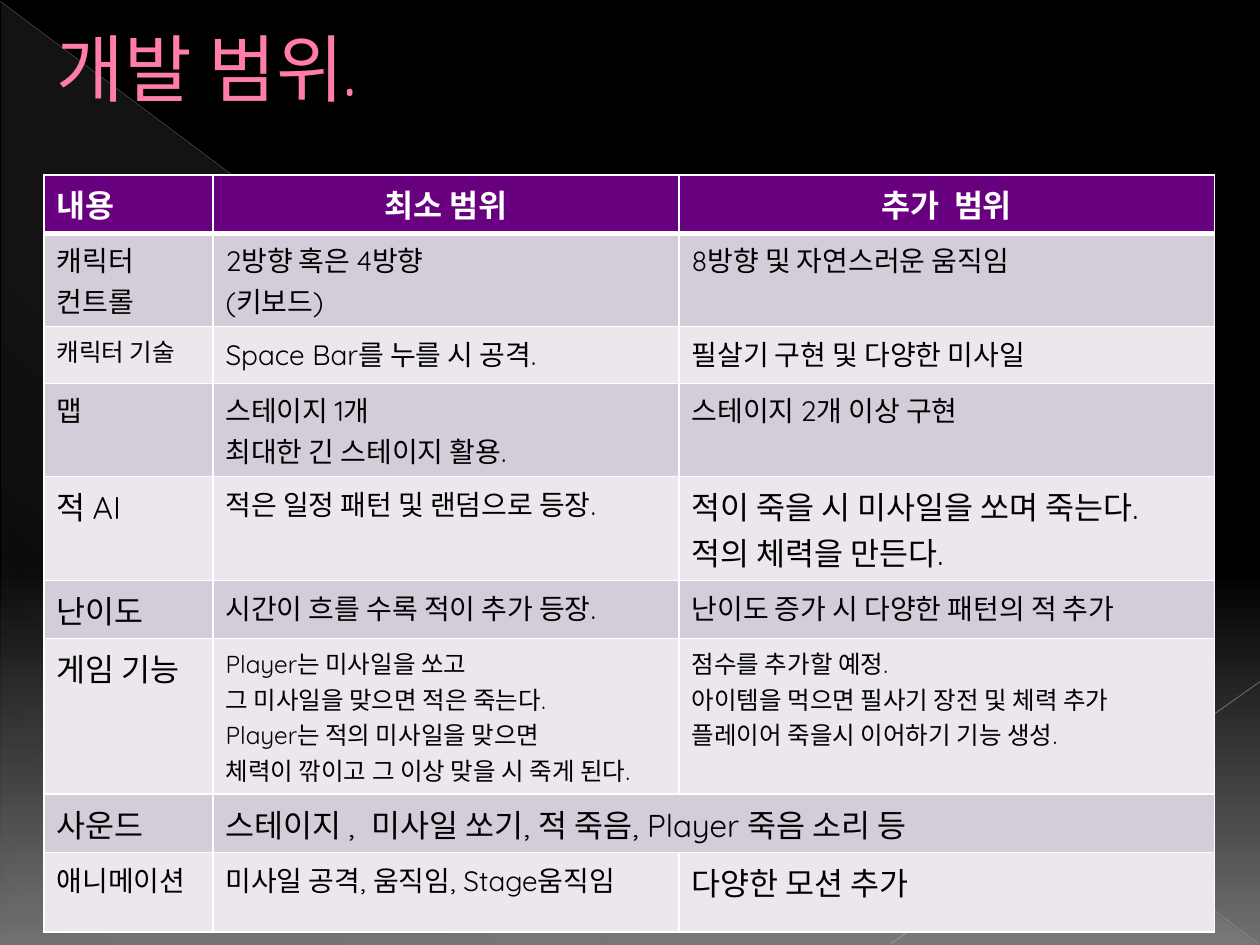
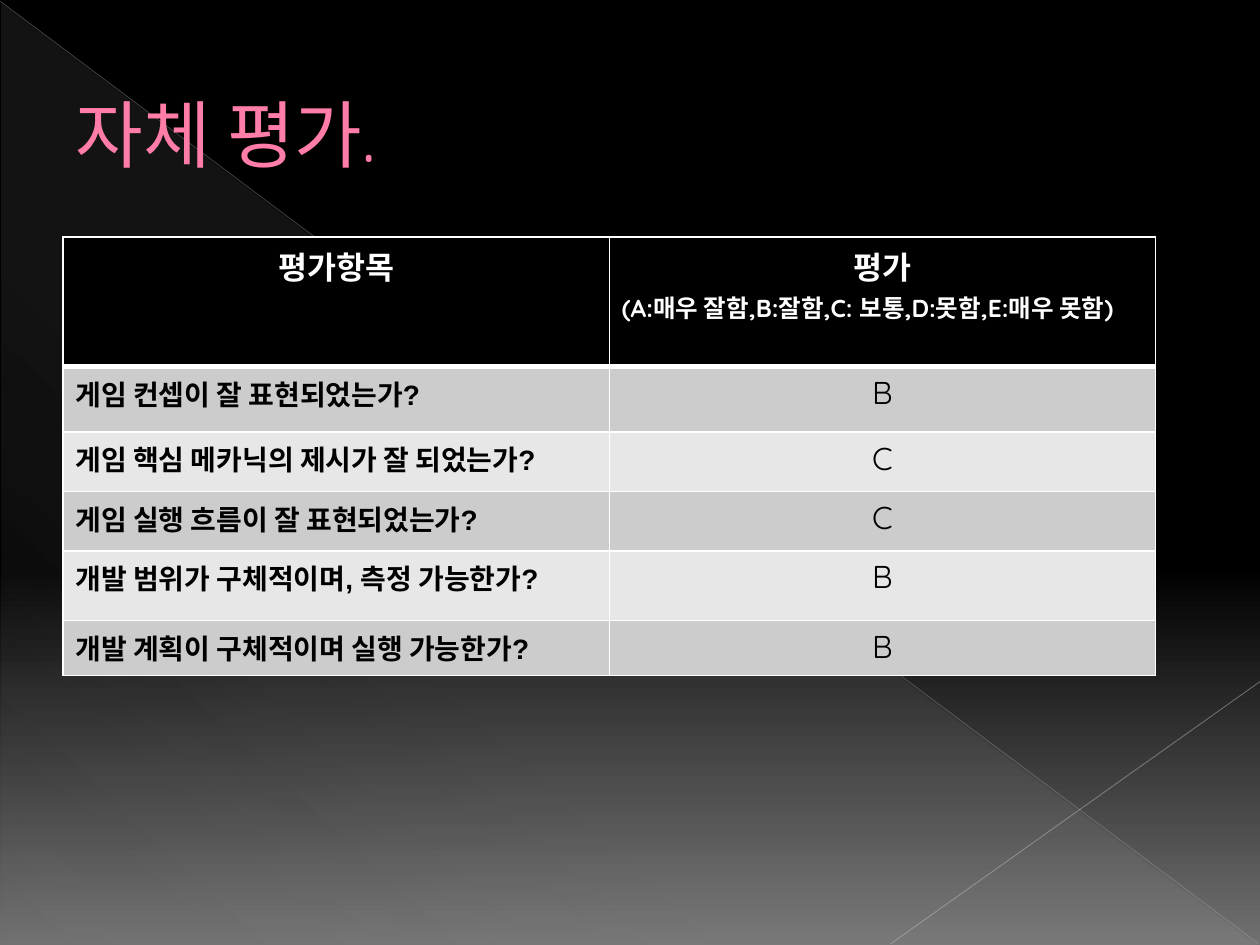
import pptx
import pptx.chart.data
import pptx.dml.color
import pptx.enum.shapes
import pptx.enum.text
import pptx.oxml
import pptx.oxml.ns
import pptx.util

Pt = pptx.util.Pt
RGB = pptx.dml.color.RGBColor
qn = pptx.oxml.ns.qn
Align = pptx.enum.text.PP_ALIGN
NS = pptx.oxml.ns.nsdecls("a")

BLACK = RGB(0, 0, 0)
WHITE = RGB(255, 255, 255)
GREY = RGB(0x70, 0x70, 0x70)
HAZE = RGB(0xD2, 0xD2, 0xD2)
FALLING = RGB(0xBF, 0xBF, 0xBF)
RISING = RGB(0xC6, 0xC6, 0xC6)
PINK = RGB(0xFF, 0x7D, 0xA7)
PINK_EDGE = RGB(0xB1, 0x27, 0x61)
PURPLE = RGB(0x68, 0, 0x7F)
LILAC = (RGB(0xD4, 0xCC, 0xD8), RGB(0xEB, 0xE7, 0xEC))
SILVER = (RGB(0xCC, 0xCC, 0xCC), RGB(0xE7, 0xE7, 0xE7))
FONT = "Quicksand"


def put_text(tf, text, size=16, color=BLACK, bold=False, font=FONT,
             align=Align.LEFT, append=False):
    """Write one paragraph per line of text and return the last run."""
    for i, line in enumerate(text.split("\n")):
        p = tf.add_paragraph() if i or append else tf.paragraphs[0]
        p.alignment = align
        r = p.add_run()
        r.text = line
        r.font.size = Pt(size)
        r.font.name = font
        r.font.bold = bold
        r.font.color.rgb = color
    return r


def color_xml(color, opacity=100):
    return f'<a:srgbClr val="{color}"><a:alpha val="{opacity * 1000}"/></a:srgbClr>'


def line_xml(tag, color, width):
    return pptx.oxml.parse_xml(
        f'<a:{tag} {NS} w="{Pt(width)}"><a:solidFill>{color_xml(color)}'
        f'</a:solidFill></a:{tag}>')


def set_gradient(fill, element, stops, angle):
    """Give (position, colour, opacity) stops along a clockwise angle."""
    fill.gradient()
    fill.gradient_angle = 360 - angle
    old = next(element.iter(qn("a:gsLst")))
    gs = "".join(f'<a:gs pos="{pos * 1000}">{color_xml(color, opacity)}</a:gs>'
                 for pos, color, opacity in stops)
    old.getparent().replace(old, pptx.oxml.parse_xml(f"<a:gsLst {NS}>{gs}</a:gsLst>"))


class Deck:
    def __init__(self):
        self.prs = pptx.Presentation()
        self.prs.slide_width, self.prs.slide_height = Pt(720), Pt(540)
        self.s = None

    def add_slide(self, title, left, top, height):
        self.s = self.prs.slides.add_slide(self.prs.slide_layouts[5])
        sp = self.s.shapes.title
        sp.left, sp.top, sp.width, sp.height = Pt(left), Pt(top), Pt(648), Pt(height)
        tf = sp.text_frame
        tf.auto_size = pptx.enum.text.MSO_AUTO_SIZE.NONE
        tf.vertical_anchor = pptx.enum.text.MSO_ANCHOR.MIDDLE
        r = put_text(tf, title, size=42, color=PINK)
        r.font._element.insert(0, line_xml("ln", PINK_EDGE, 0.5))

    def triangle(self, left, top, width, height):
        sp = self.s.shapes.add_shape(pptx.enum.shapes.MSO_SHAPE.RIGHT_TRIANGLE,
                                     Pt(left), Pt(top), Pt(width), Pt(height))
        sp.shadow.inherit = False
        sp.line.fill.background()
        set_gradient(sp.fill, sp._element,
                     [(0, HAZE, 10), (70, HAZE, 8), (100, HAZE, 1)], 133)
        return sp

    def line(self, x1, y1, x2, y2, color, width, opacity):
        c = self.s.shapes.add_connector(pptx.enum.shapes.MSO_CONNECTOR.STRAIGHT,
                                        Pt(x1), Pt(y1), Pt(x2), Pt(y2))
        c.line.width = Pt(width)
        c.line.color.rgb = color
        alpha = pptx.oxml.parse_xml(f'<a:alpha {NS} val="{opacity * 1000}"/>')
        next(c._element.iter(qn("a:srgbClr"))).append(alpha)
        c._element.spPr.append(pptx.oxml.parse_xml(f"<a:effectLst {NS}/>"))
        return c

    def decorate_master(self):
        """Draw the shared backdrop and move it behind the master's placeholders."""
        master = self.prs.slide_master
        set_gradient(master.background.fill, master._element.cSld.bg,
                     [(0, BLACK, 100), (60, BLACK, 100), (100, GREY, 100)], 90)
        backdrop = [
            self.triangle(0.7, 1.4, 718.6, 538.6),
            self.line(0, 0.7, 719.3, 539.3, FALLING, 0.39, 35),
            self.line(720, 389.5, 509, 539.3, RISING, 0.47, 45),
        ]
        for i, sp in enumerate(backdrop, 2):
            master.shapes._spTree.insert(i, sp._element)

    def table(self, left, top, widths, heights, header_fill, bands):
        """Add an empty table with a filled header, bands and white borders."""
        tbl = self.s.shapes.add_table(len(heights), len(widths), Pt(left), Pt(top),
                                      Pt(sum(widths)), Pt(sum(heights))).table
        for col, width in zip(tbl.columns, widths):
            col.width = Pt(width)
        for i, (row, height) in enumerate(zip(tbl.rows, heights)):
            row.height = Pt(height)
            edges = {"lnL": 1, "lnR": 1, "lnT": 3 if i == 1 else 1,
                     "lnB": 3 if i == 0 else 1}
            for cell in row.cells:
                cell.fill.solid()
                cell.fill.fore_color.rgb = bands[(i - 1) % 2] if i else header_fill
                tcPr = cell._tc.get_or_add_tcPr()
                for k, (tag, width) in enumerate(edges.items()):
                    tcPr.insert(k, line_xml(tag, WHITE, width))
        return tbl


SCOPE_HEADER = ["내용", "최소 범위", "추가  범위"]
# Each row: texts, then their font sizes
SCOPE = [
    (["캐릭터\n컨트롤", "2방향 혹은 4방향\n(키보드)", "8방향 및 자연스러운 움직임"],
     [16, 16, 16]),
    (["캐릭터 기술", "Space Bar를 누를 시 공격.", "필살기 구현 및 다양한 미사일"],
     [14, 16, 16]),
    (["맵", "스테이지 1개\n최대한 긴 스테이지 활용.", "스테이지 2개 이상 구현"],
     [16, 16, 16]),
    (["적 AI", "적은 일정 패턴 및 랜덤으로 등장.",
      "적이 죽을 시 미사일을 쏘며 죽는다.\n적의 체력을 만든다."], [18, 16, 18]),
    (["난이도", "시간이 흐를 수록 적이 추가 등장.", "난이도 증가 시 다양한 패턴의 적 추가"],
     [18, 16, 16]),
    (["게임 기능",
      "Player는 미사일을 쏘고\n그 미사일을 맞으면 적은 죽는다.\n"
      "Player는 적의 미사일을 맞으면\n체력이 깎이고 그 이상 맞을 시 죽게 된다.",
      "점수를 추가할 예정.\n아이템을 먹으면 필사기 장전 및 체력 추가\n"
      "플레이어 죽을시 이어하기 기능 생성."], [18, 14, 14]),
    (["사운드", "스테이지 ,  미사일 쏘기, 적 죽음, Player 죽음 소리 등"], [18, 18]),
    (["애니메이션", "미사일 공격, 움직임, Stage움직임", "다양한 모션 추가"], [16, 16, 18]),
]
GRADES = [
    ("게임 컨셉이 잘 표현되었는가?", "B"),
    ("게임 핵심 메카닉의 제시가 잘 되었는가?", "C"),
    ("게임 실행 흐름이 잘 표현되었는가?", "C"),
    ("개발 범위가 구체적이며, 측정 가능한가?", "B"),
    ("개발 계획이 구체적이며 실행 가능한가?", "B"),
]


def scope_slide(deck):
    deck.add_slide("개발 범위.", 25.2, 0, 77)
    deck.decorate_master()
    tbl = deck.table(25.2, 100, [96.5, 266.4, 306],
                     [28, 44, 32.4, 45.4, 49, 28, 86.4, 33.1, 45.4], PURPLE, LILAC)
    for j, text in enumerate(SCOPE_HEADER):
        put_text(tbl.cell(0, j).text_frame, text, size=18, color=WHITE, bold=True,
                 align=Align.CENTER if j else Align.LEFT)
    for i, (texts, sizes) in enumerate(SCOPE, 1):
        if len(texts) == 2:
            tbl.cell(i, 1).merge(tbl.cell(i, 2))
        for j, (text, size) in enumerate(zip(texts, sizes)):
            put_text(tbl.cell(i, j).text_frame, text, size=size)


def grades_slide(deck):
    deck.add_slide("자체 평가.", 36, 21, 110)
    tbl = deck.table(36, 135.5, [312.2, 312.2], [44, 37.4, 34, 34, 39.7, 31.5],
                     BLACK, SILVER)
    for j, text in enumerate(["평가항목", "평가"]):
        put_text(tbl.cell(0, j).text_frame, text, size=18, color=WHITE, bold=True,
                 align=Align.CENTER)
    put_text(tbl.cell(0, 1).text_frame,
             "(A:매우 잘함,B:잘함,C: 보통,D:못함,E:매우 못함)",
             size=14, color=WHITE, bold=True, append=True)
    for i, (question, grade) in enumerate(GRADES, 1):
        put_text(tbl.cell(i, 0).text_frame, question, bold=True, font="Arial")
        put_text(tbl.cell(i, 1).text_frame, grade, size=18, align=Align.CENTER)


def main():
    deck = Deck()
    scope_slide(deck)
    grades_slide(deck)
    deck.prs.save("out.pptx")


if __name__ == "__main__":
    main()
